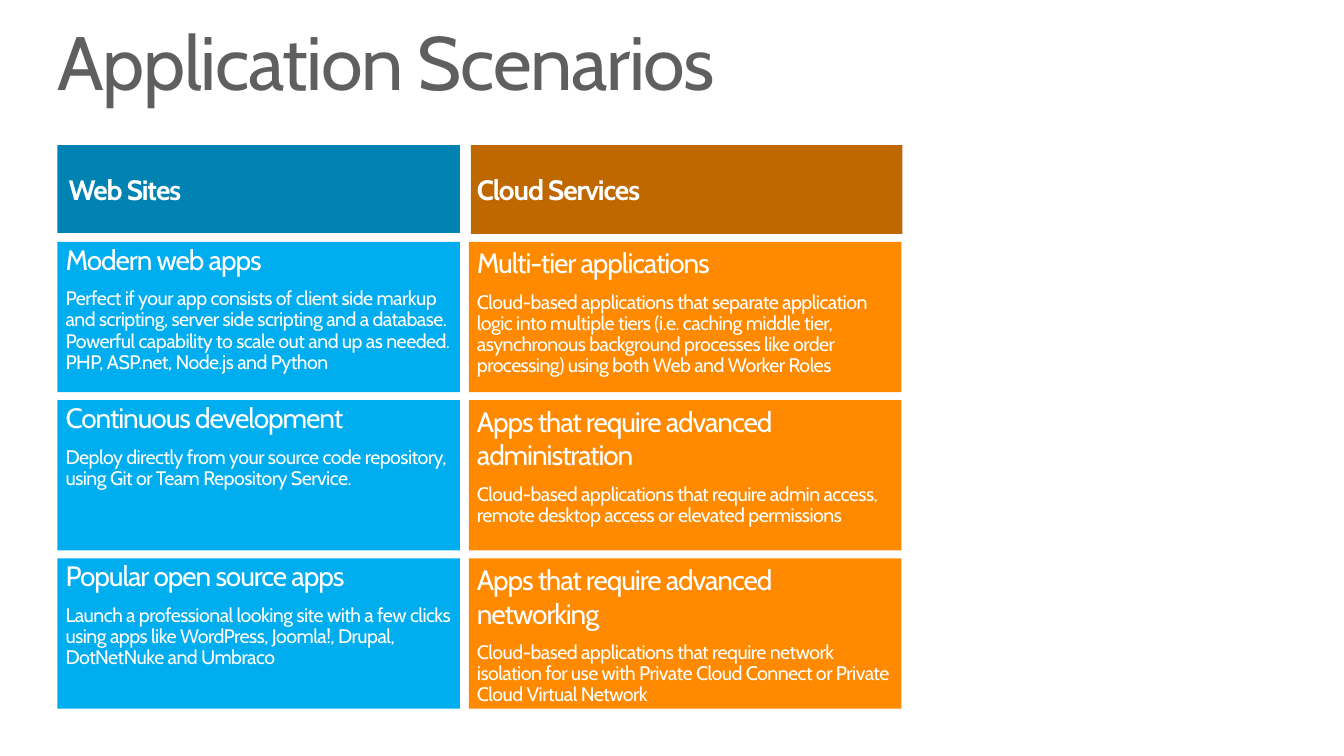
from pptx import Presentation
from pptx.dml.color import RGBColor
from pptx.enum.shapes import MSO_SHAPE as Shape
from pptx.enum.text import MSO_ANCHOR as Anchor, MSO_AUTO_SIZE as AutoSize, PP_ALIGN as Align
from pptx.util import Inches, Pt

WHITE = RGBColor(0xFF, 0xFF, 0xFF)
GRAY = RGBColor(0x5F, 0x5F, 0x5F)
BLUE = RGBColor(0x00, 0xAE, 0xEF)
DARK_BLUE = RGBColor(0x00, 0x83, 0xB3)
ORANGE = RGBColor(0xFF, 0x8A, 0x00)
DARK_ORANGE = RGBColor(0xBF, 0x68, 0x00)

CARD_TOP, CARD_HEIGHT, CARD_STEP = 2.4, 1.49, 1.57

WEB_CARDS = [
    ("Modern web apps",
     "Perfect if your app consists of client side markup and scripting, server side scripting "
     "and a database. Powerful capability to scale out and up as needed. "
     "PHP, ASP.net, Node.js and Python"),
    ("Continuous development",
     "Deploy directly from your source code repository, using Git or Team Repository Service."),
    ("Popular open source apps",
     "Launch a professional looking site with a few clicks using apps like WordPress, Joomla!, "
     "Drupal, DotNetNuke and Umbraco"),
]
CLOUD_CARDS = [
    ("Multi-tier applications",
     "Cloud-based applications that separate application logic into multiple tiers "
     "(i.e. caching middle tier, asynchronous background processes like order processing) "
     "using both Web and Worker Roles"),
    ("Apps that require advanced administration",
     "Cloud-based applications that require admin access, remote desktop access or "
     "elevated permissions"),
    ("Apps that require advanced networking",
     "Cloud-based applications that require network isolation for use with "
     "Private Cloud Connect or Private Cloud Virtual Network"),
]


class SlideBuilder:
    font = "Cabin"

    def __init__(self, slide):
        self.slide = slide

    def frame(self, sp, inset_x=0, inset_y=0):
        tf = sp.text_frame
        tf.word_wrap = True
        tf.vertical_anchor = Anchor.TOP
        tf.margin_left = tf.margin_right = Inches(inset_x)
        tf.margin_top = tf.margin_bottom = Inches(inset_y)
        return tf

    def add_text(self, p, text, size, spacing, color=WHITE, bold=False, line=None, after=None):
        p.alignment = Align.LEFT
        if line:
            p.line_spacing = line
        if after:
            p.space_after = Pt(after)
        r = p.add_run()
        r.text = text
        r.font.name = self.font
        r.font.size = Pt(size)
        r.font.bold = bold
        r.font.color.rgb = color
        r._r.get_or_add_rPr().set("spc", str(round(spacing * 100)))

    def text_box(self, shapes, box, text, size, spacing, inset=(0, 0), **style):
        sp = shapes.add_textbox(*map(Inches, box))
        tf = self.frame(sp, *inset)
        tf.auto_size = AutoSize.SHAPE_TO_FIT_TEXT
        self.add_text(tf.paragraphs[0], text, size, spacing, **style)

    def title(self, text):
        self.text_box(self.slide.shapes, (0.57, 0.25, 12.19, 0.82), text, 54, -1,
                      color=GRAY, line=0.9)

    def block(self, shapes, kind, box, fill):
        sp = shapes.add_shape(kind, *map(Inches, box))
        sp.shadow.inherit = False
        sp.fill.solid()
        sp.fill.fore_color.rgb = fill
        sp.line.fill.background()
        return sp

    def card(self, shapes, box, fill, heading, body, heading_line):
        sp = self.block(shapes, Shape.ROUNDED_RECTANGLE, box, fill)
        sp.adjustments[0] = 0
        tf = self.frame(sp, 0.08, 0.04)
        self.add_text(tf.paragraphs[0], heading, 20, -0.8, line=heading_line, after=9)
        self.add_text(tf.add_paragraph(), body, 14, -0.4, line=0.9, after=9)

    def column(self, name, header_box, label_box, header_fill, left, width, fill, cards,
               heading_line=None):
        shapes = self.slide.shapes.add_group_shape().shapes
        self.block(shapes, Shape.RECTANGLE, header_box, header_fill)
        self.text_box(shapes, label_box, name, 20, -0.8, inset=(0.11, 0.06), bold=True)
        for i, (heading, body) in enumerate(cards):
            box = (left, CARD_TOP + i * CARD_STEP, width, CARD_HEIGHT)
            self.card(shapes, box, fill, heading, body, heading_line)


def main():
    prs = Presentation()
    prs.slide_width = Inches(13.33)
    prs.slide_height = Inches(7.5)
    s = SlideBuilder(prs.slides.add_slide(prs.slide_layouts[6]))
    s.title("Application Scenarios")
    s.column("Web Sites", (0.57, 1.44, 3.99, 0.87), (0.57, 1.65, 3.25, 0.45), DARK_BLUE,
             0.57, 3.99, BLUE, WEB_CARDS, heading_line=0.9)
    s.column("Cloud Services", (4.67, 1.44, 4.28, 0.88), (4.62, 1.65, 4.4, 0.45), DARK_ORANGE,
             4.65, 4.29, ORANGE, CLOUD_CARDS)
    prs.save("out.pptx")


if __name__ == "__main__":
    main()
